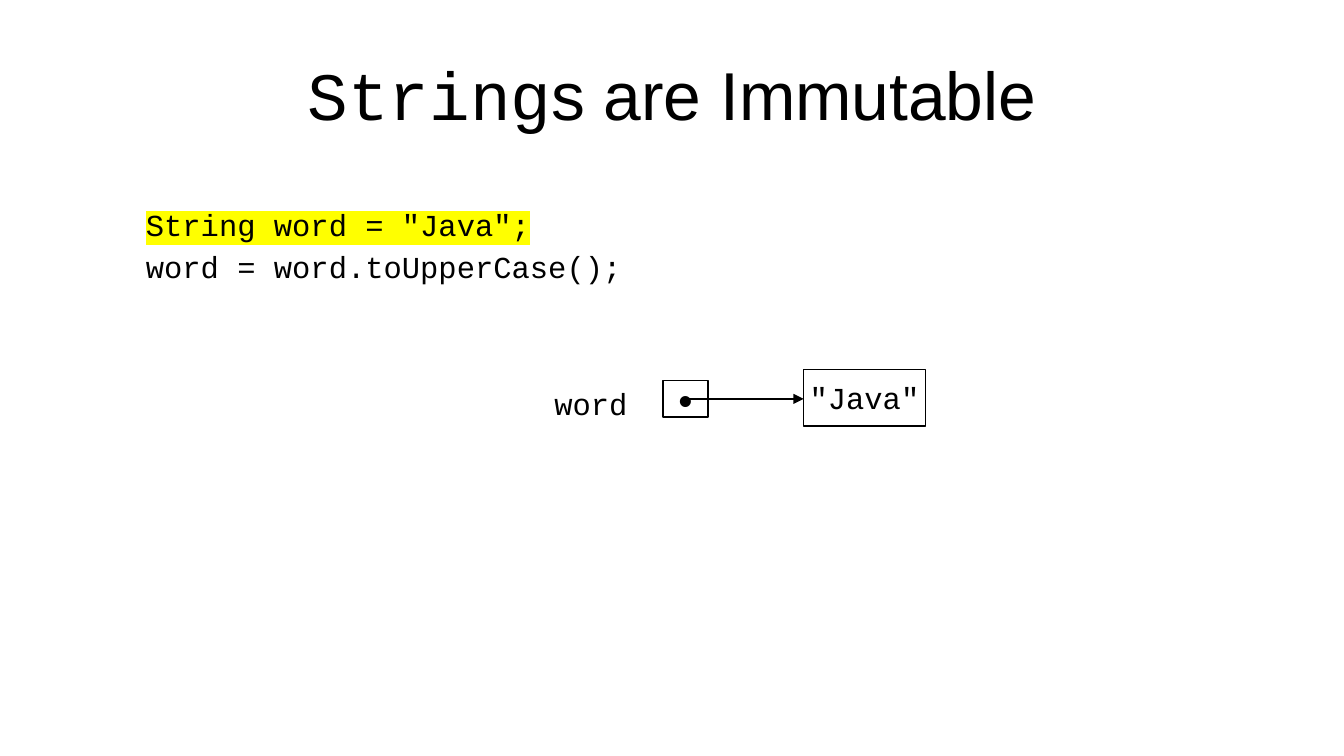
from lxml import etree
from pptx import Presentation
from pptx.dml.color import RGBColor
from pptx.enum import shapes, text
from pptx.oxml import ns
from pptx.util import Cm, Pt

BLACK = RGBColor(0, 0, 0)
WHITE = RGBColor(255, 255, 255)
YELLOW = RGBColor(255, 255, 0)
SANS = "Arial"
MONO = "Courier New"


def set_font(font, name, size):
    font.name = name
    font.size = Pt(size)
    font.color.rgb = BLACK


def set_margins(frame, horizontal, vertical):
    frame.margin_left = frame.margin_right = Cm(horizontal)
    frame.margin_top = frame.margin_bottom = Cm(vertical)


def highlight(run, color):
    mark = etree.SubElement(run.font._element, ns.qn("a:highlight"))
    etree.SubElement(mark, ns.qn("a:srgbClr"), val=str(color))


def add_title(slide, left, top, width, height):
    title = slide.shapes.title
    title.left, title.top, title.width, title.height = left, top, width, height
    frame = title.text_frame
    set_margins(frame, 0, 0)
    frame.vertical_anchor = text.MSO_ANCHOR.MIDDLE
    paragraph = frame.paragraphs[0]
    paragraph.alignment = text.PP_ALIGN.CENTER
    for content, font_name in (("String", MONO), ("s are Immutable", SANS)):
        run = paragraph.add_run()
        run.text = content
        set_font(run.font, font_name, 40)


def add_code(slide, left, top, width, height, lines, current):
    """Add lines of code and highlight the one with index current."""
    frame = slide.shapes.add_textbox(left, top, width, height).text_frame
    frame.word_wrap = False
    set_margins(frame, 0.25, 0.13)
    frame.text = "\n".join(lines)
    for paragraph in frame.paragraphs:
        paragraph.line_spacing = 1.15
        set_font(paragraph.font, MONO, 18)
    highlight(frame.paragraphs[current].runs[0], YELLOW)


def add_memory_box(slide, left, top, width, height, content, font_name, size):
    box = slide.shapes.add_shape(
        shapes.MSO_SHAPE.RECTANGLE, left, top, width, height)
    box.shadow.inherit = False
    box.fill.solid()
    box.fill.fore_color.rgb = WHITE
    box.line.color.rgb = BLACK
    box.line.width = Pt(1)
    frame = box.text_frame
    frame.word_wrap = False
    frame.vertical_anchor = text.MSO_ANCHOR.MIDDLE
    set_margins(frame, 0.28, 0.15)
    frame.text = content
    paragraph = frame.paragraphs[0]
    paragraph.alignment = text.PP_ALIGN.CENTER
    set_font(paragraph.font, font_name, size)
    return box


def add_arrow(slide, start_x, end_x, y):
    arrow = slide.shapes.add_connector(
        shapes.MSO_CONNECTOR.STRAIGHT, start_x, y, end_x, y)
    arrow.line.color.rgb = BLACK
    arrow.line.width = Pt(1)
    etree.SubElement(arrow.line._get_or_add_ln(), ns.qn("a:tailEnd"),
                     type="triangle")
    etree.SubElement(arrow._element.spPr, ns.qn("a:effectLst"))


def add_reference(slide, left, top, width, height, name, value):
    """Draw a named variable that points to the object holding its value."""
    label_width, variable_width, object_width = Cm(2.51), Cm(0.94), Cm(2.54)
    label = slide.shapes.add_textbox(
        left, top + Cm(0.2), label_width, Cm(0.97)).text_frame
    label.word_wrap = True
    set_margins(label, 0.25, 0.13)
    label.text = name
    set_font(label.paragraphs[0].font, MONO, 18)

    variable = add_memory_box(
        slide, left + label_width, top + Cm(0.23), variable_width, Cm(0.76),
        "•", SANS, 24)
    target = add_memory_box(
        slide, left + width - object_width, top, object_width, height,
        value, MONO, 18)
    add_arrow(slide, variable.left + variable_width // 2, target.left,
              variable.top + variable.height // 2)


def main():
    presentation = Presentation()
    presentation.slide_width = Cm(28)
    presentation.slide_height = Cm(15.75)
    slide = presentation.slides.add_slide(presentation.slide_layouts[5])
    add_title(slide, Cm(1.4), Cm(0.63), Cm(25.2), Cm(2.64))
    add_code(slide, Cm(2.79), Cm(4.04), Cm(10.41), Cm(2.41),
             ['String word = "Java";', "word = word.toUpperCase();"], 0)
    add_reference(slide, Cm(11.3), Cm(7.7), Cm(7.98), Cm(1.17),
                  "word", '"Java"')
    presentation.save("out.pptx")


if __name__ == "__main__":
    main()
